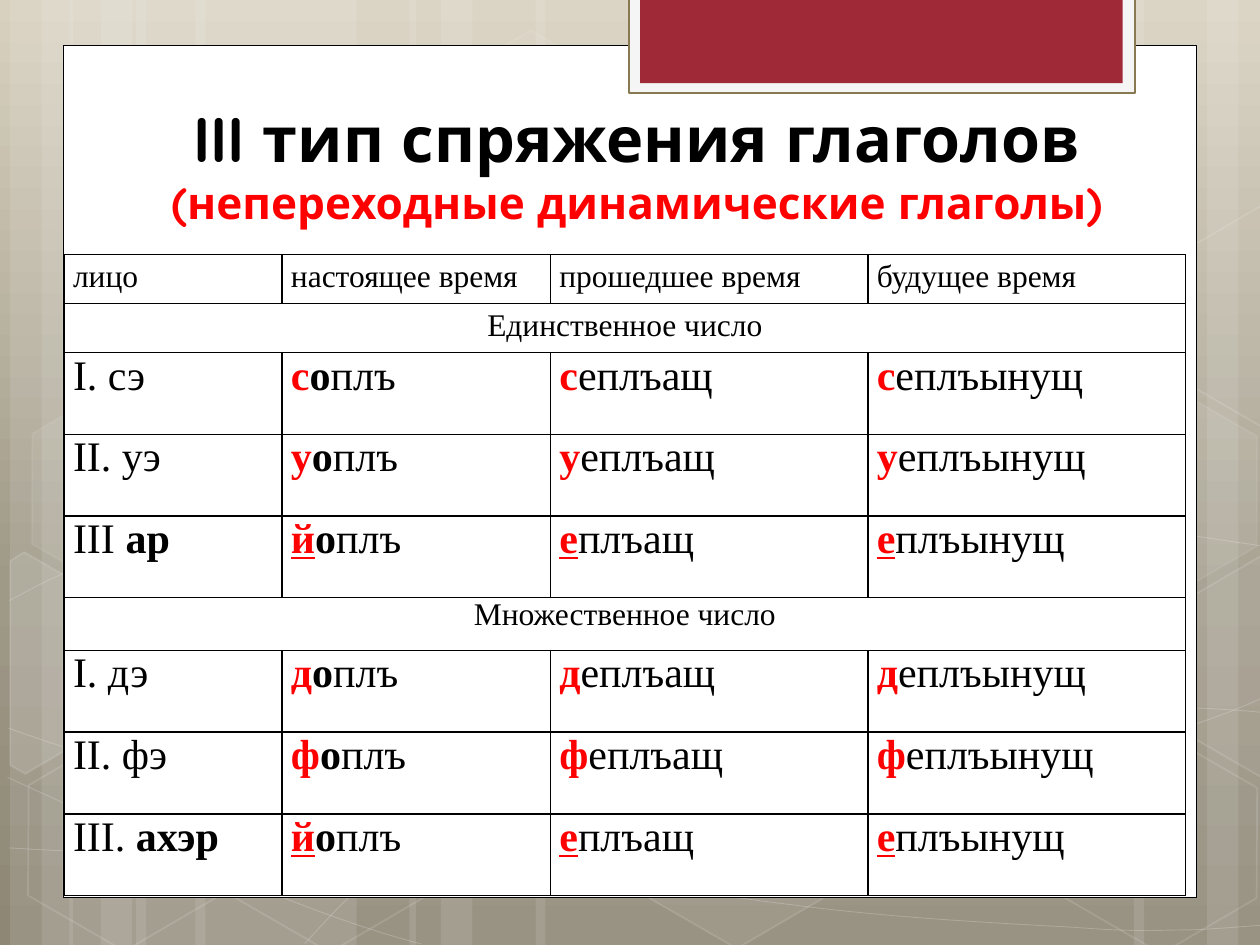
from copy import deepcopy
from math import cos, radians, sin
from typing import NamedTuple, Optional

from lxml import etree
from pptx import Presentation
from pptx.dml.color import RGBColor
from pptx.enum.shapes import MSO_SHAPE
from pptx.enum.text import MSO_ANCHOR, MSO_AUTO_SIZE, PP_ALIGN
from pptx.oxml.ns import qn
from pptx.util import Inches, Pt

RECTANGLE, HEXAGON = MSO_SHAPE.RECTANGLE, MSO_SHAPE.HEXAGON
BOTTOM, NO_FIT = MSO_ANCHOR.BOTTOM, MSO_AUTO_SIZE.NONE
CENTER, JUSTIFY = PP_ALIGN.CENTER, PP_ALIGN.JUSTIFY
WIDTH, HEIGHT = 10, 7.5
WHITE, BLACK, RED = "FFFFFF", "000000", "FF0000"
SERIF = "Times New Roman"
TILT = 30


class Paint(NamedTuple):
    """Fill and line; opacities are percentages."""
    fill: Optional[str] = None
    fill_opacity: int = 100
    line: Optional[str] = None
    line_width: float = 1
    line_opacity: int = 100


class Hexagon(NamedTuple):
    left: float
    top: float
    fill_opacity: int
    line_opacity: int


class CutHexagon(NamedTuple):
    """A tilted hexagon cut by the slide edge, with its turning centre."""
    center: tuple
    fill_opacity: int
    corners: list


class Piece(NamedTuple):
    text: str
    color: str = BLACK
    bold: bool = False
    underline: bool = False


class Person(NamedTuple):
    number: str
    pronoun: str
    prefix: str


# left, width
STRIPES = [(1.08, 1.75), (0.08, 0.5), (0.33, 0.83), (1.55, 1.75), (0.55, 0.5), (0.8, 0.83),
           (7.33, 1.75), (9.58, 0.5), (9, 0.83), (4.25, 3.08), (3.25, 0.5), (3.5, 0.83)]
# Each wave is a start point followed by Bezier triples
WAVES = [
    [(0.07, 6.73), (0.61, 6.76), (1.15, 6.79), (1.9, 6.78), (2.65, 6.77), (3.58, 6.75),
     (4.58, 6.65), (5.58, 6.55), (7, 6.36), (7.92, 6.17), (8.83, 5.98), (9.77, 5.68),
     (10.07, 5.51)],
    [(0.07, 4.77), (0.36, 4.61), (0.65, 4.46), (1.21, 4.31), (1.78, 4.16), (2.59, 3.94),
     (3.47, 3.87), (4.36, 3.8), (5.44, 3.79), (6.54, 3.87), (7.64, 3.95), (9.47, 4.26),
     (10.07, 4.34)],
    [(0.06, 6.17), (1.27, 6.72), (2.47, 7.27), (3.34, 7.49)],
    [(0.07, 5.78), (0.38, 5.89), (0.7, 6), (1.28, 6.16), (1.86, 6.31), (2.73, 6.56),
     (3.57, 6.73), (4.4, 6.9), (5.45, 7.08), (6.28, 7.18), (7.11, 7.29), (8, 7.33),
     (8.53, 7.36), (9.05, 7.4), (9.19, 7.38), (9.45, 7.38), (9.71, 7.37), (9.89, 7.35),
     (10.07, 7.34)],
    [(2.42, 7.49), (2.6, 7.29), (2.78, 7.09), (3.02, 6.91), (3.26, 6.73), (3.6, 6.53),
     (3.88, 6.39), (4.16, 6.25), (4.33, 6.19), (4.7, 6.09), (5.06, 5.99), (5.73, 5.85),
     (6.08, 5.78), (6.44, 5.71), (6.49, 5.71), (6.8, 5.69), (7.11, 5.66), (7.6, 5.63),
     (7.94, 5.62), (8.29, 5.61), (8.86, 5.62), (8.86, 5.62), (9.08, 5.62), (9.31, 5.62),
     (9.53, 5.62), (9.71, 5.63), (9.88, 5.64), (9.97, 5.65), (10.06, 5.66), (10.03, 5.65),
     (10.06, 5.66)],
]
HEXAGONS = [Hexagon(3.34, 0.36, 4, 8), Hexagon(4.97, 5.89, 6, 12), Hexagon(0.11, 5.91, 0, 12),
            Hexagon(0.14, 3.12, 7, 8), Hexagon(1.74, 5.92, 0, 12), Hexagon(7.53, 4.53, 10, 12),
            Hexagon(8.34, 5.93, 0, 12), Hexagon(8.34, 3.14, 7, 8)]
CUT_HEXAGONS = [
    CutHexagon((0.36, 5.35), 10, [(0.08, 4.45), (0.19, 4.38), (0.96, 4.82), (0.95, 5.7),
                                  (0.2, 6.14), (0.08, 6.07)]),
    CutHexagon((9.85, 5.2), 4, [(9.26, 4.85), (10.01, 4.41), (10.09, 4.46), (10.09, 6.13),
                                (10.02, 6.17), (9.26, 5.73)]),
    CutHexagon((9.85, 2.41), 0, [(9.26, 2.07), (10.01, 1.63), (10.1, 1.68), (10.09, 3.35),
                                 (10.02, 3.39), (9.26, 2.95)]),
]

COLUMNS = [1.73, 2.13, 2.52, 2.52]
TABLE_HEIGHT, HEAD_ROW, PLURAL_ROW = 5.09, 0.39, 0.42
PERSON_ROW = (TABLE_HEIGHT - 2 * HEAD_ROW - PLURAL_ROW) / 6
HEADINGS = ["лицо", "настоящее время", "прошедшее время", "будущее время"]
SINGULAR = [Person("I. ", "сэ", "с"), Person("II. ", "уэ", "у"), Person("III ", "ар", "")]
PLURAL = [Person("I. ", "дэ", "д"), Person("II. ", "фэ", "ф"), Person("III. ", "ахэр", "")]


def rgb(color: str) -> RGBColor:
    return RGBColor.from_string(color)


def set_opacity(painted, percent: int) -> None:
    if percent < 100:
        color = painted.find(".//" + qn("a:srgbClr"))
        etree.SubElement(color, qn("a:alpha"), val=str(percent * 1000))


def apply_paint(shape, paint: Paint) -> None:
    shape.shadow.inherit = False
    properties = shape.element.spPr
    if paint.fill and paint.fill_opacity:
        shape.fill.solid()
        shape.fill.fore_color.rgb = rgb(paint.fill)
        set_opacity(properties.find(qn("a:solidFill")), paint.fill_opacity)
    else:
        shape.fill.background()
    if paint.line:
        shape.line.color.rgb = rgb(paint.line)
        shape.line.width = Pt(paint.line_width)
        set_opacity(properties.find(qn("a:ln")), paint.line_opacity)
    else:
        shape.line.fill.background()


def add_preset(slide, preset, box: tuple, paint: Paint):
    shape = slide.shapes.add_shape(preset, *map(Inches, box))
    apply_paint(shape, paint)
    return shape


def add_outline(slide, points: list, closed: bool, paint: Paint):
    start, *rest = [(Inches(x), Inches(y)) for x, y in points]
    builder = slide.shapes.build_freeform(*start)
    builder.add_line_segments(rest, close=closed)
    shape = builder.convert_to_shape()
    apply_paint(shape, paint)
    return shape


def add_wave(slide, knots: list) -> None:
    wave = add_outline(slide, knots, False, Paint(None, 0, WHITE, 0.5, 20))
    outline = wave.element.find(".//" + qn("a:pathLst"))[0]
    segments = outline.findall(qn("a:lnTo"))
    for i in range(0, len(segments), 3):
        curve = etree.SubElement(outline, qn("a:cubicBezTo"))
        for segment in segments[i:i + 3]:
            curve.append(segment[0])
            outline.remove(segment)


def turn(point: tuple, center: tuple, degrees: float) -> tuple:
    x, y = point[0] - center[0], point[1] - center[1]
    c, s = cos(radians(degrees)), sin(radians(degrees))
    return center[0] + x * c - y * s, center[1] + x * s + y * c


def add_run(paragraph, piece: Piece, size: float, font_name: str) -> None:
    run = paragraph.add_run()
    run.text = piece.text
    formats = {"name": font_name, "size": Pt(size), "bold": piece.bold,
               "underline": piece.underline}
    for attribute, value in formats.items():
        setattr(run.font, attribute, value)
    run.font.color.rgb = rgb(piece.color)


def draw_backdrop(slide) -> None:
    fill = slide.background.fill
    fill.gradient()
    fill.gradient_angle = 270
    stop_list = slide.element.find(".//" + qn("a:gsLst"))
    stop_list.append(deepcopy(stop_list[-1]))
    stops = [(0, "D8D1C0"), (0.62, "9F9988"), (1, "8E8776")]
    for stop, (position, color) in zip(fill.gradient_stops, stops):
        stop.position = position
        stop.color.rgb = rgb(color)
    for left, width in STRIPES:
        add_preset(slide, RECTANGLE, (left, 0, width, HEIGHT), Paint(WHITE, 10))
    for knots in WAVES:
        add_wave(slide, knots)
    for item in HEXAGONS:
        hexagon = add_preset(slide, HEXAGON, (item.left, item.top, 1.75, 1.52),
                             Paint(WHITE, item.fill_opacity, WHITE, 1, item.line_opacity))
        hexagon.rotation = TILT
        hexagon.adjustments[0] = 0.285
    for item in CUT_HEXAGONS:
        corners = [turn(corner, item.center, -TILT) for corner in item.corners]
        paint = Paint(WHITE, item.fill_opacity, WHITE, 1, 12)
        add_outline(slide, corners, True, paint).rotation = TILT
    add_preset(slide, RECTANGLE, (0.5, 0.36, 9, 6.76), Paint(WHITE, line=BLACK, line_width=0.5))
    add_preset(slide, RECTANGLE, (4.99, -0.02, 4.02, 0.76),
               Paint("F5F5F5", line="887952", line_width=1.25))
    add_preset(slide, RECTANGLE, (5.08, -0.02, 3.83, 0.68), Paint("9F2936"))


def write_title(slide) -> None:
    title = slide.shapes.title
    title.element.getparent().append(title.element)
    title.left, title.top, title.width, title.height = map(Inches, (0.98, 0.68, 8.15, 1.18))
    frame = title.text_frame
    frame.word_wrap, frame.auto_size, frame.vertical_anchor = True, NO_FIT, BOTTOM
    paragraph = frame.paragraphs[0]
    paragraph.alignment = CENTER
    add_run(paragraph, Piece("III тип спряжения глаголов", bold=True), 36, "Quicksand")
    paragraph.add_line_break()
    add_run(paragraph, Piece("(непереходные динамические глаголы)", RED, True), 25.2, "Quicksand")


def person_cells(person: Person) -> list:
    """The third person has no prefix of its own: й or е is marked instead."""
    third = not person.prefix
    marker = Piece(person.prefix or "е", RED, True, third)
    stem = "плъ" if third else "еплъ"
    pronoun = ([Piece(person.number), Piece(person.pronoun, bold=True)] if third
               else [Piece(person.number + person.pronoun)])
    return [pronoun,
            [marker._replace(text=person.prefix or "й"), Piece("о", bold=True), Piece("плъ")],
            [marker, Piece(stem + "ащ")],
            [marker, Piece(stem + "ынущ")]]


def fill_cell(cell, pieces: list, size: float, alignment, spacing: float) -> None:
    paragraph = cell.text_frame.paragraphs[0]
    paragraph.alignment, paragraph.line_spacing = alignment, spacing
    for piece in pieces:
        add_run(paragraph, piece, size, SERIF)


def format_cell(cell) -> None:
    cell.margin_left = cell.margin_right = Inches(0.07)
    cell.margin_top = cell.margin_bottom = 0
    properties = cell._tc.get_or_add_tcPr()
    for side in ("a:lnL", "a:lnR", "a:lnT", "a:lnB"):
        border = etree.SubElement(properties, qn(side), w=str(Pt(1)))
        etree.SubElement(etree.SubElement(border, qn("a:solidFill")), qn("a:srgbClr"), val=BLACK)
    cell.fill.background()


def draw_conjugation(slide) -> None:
    heights = [HEAD_ROW] * 2 + [PERSON_ROW] * 3 + [PLURAL_ROW] + [PERSON_ROW] * 3
    box = map(Inches, (0.51, 2.02, sum(COLUMNS), TABLE_HEIGHT))
    table = slide.shapes.add_table(len(heights), len(COLUMNS), *box).table
    table.first_row = table.horz_banding = False
    for column, width in zip(table.columns, COLUMNS):
        column.width = Inches(width)
    for row, height in zip(table.rows, heights):
        row.height = Inches(height)
    for cell in table.iter_cells():
        format_cell(cell)
    for column, heading in enumerate(HEADINGS):
        fill_cell(table.cell(0, column), [Piece(heading)], 18, JUSTIFY, 1.15)
    for top, label, spacing, persons in ((1, "Единственное число", 1.15, SINGULAR),
                                         (5, "Множественное число", 1.0, PLURAL)):
        table.cell(top, 0).merge(table.cell(top, len(COLUMNS) - 1))
        fill_cell(table.cell(top, 0), [Piece(label)], 18, CENTER, spacing)
        for row, person in enumerate(persons, top + 1):
            for column, pieces in enumerate(person_cells(person)):
                fill_cell(table.cell(row, column), pieces, 24, JUSTIFY, 1.0)


def main() -> None:
    deck = Presentation()
    deck.slide_width, deck.slide_height = Inches(WIDTH), Inches(HEIGHT)
    slide = deck.slides.add_slide(deck.slide_layouts[5])
    draw_backdrop(slide)
    write_title(slide)
    draw_conjugation(slide)
    deck.save("out.pptx")


if __name__ == "__main__":
    main()
